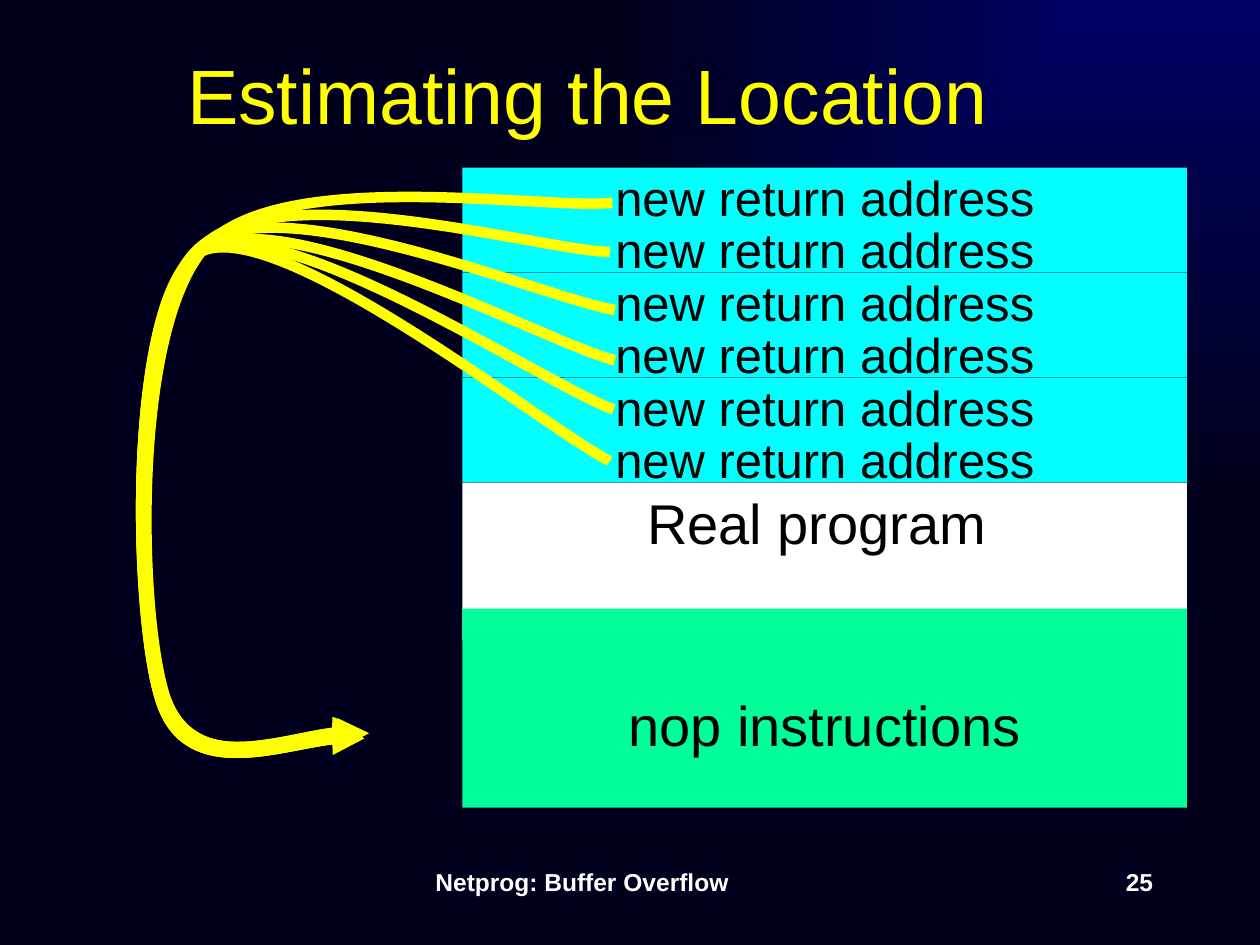
import pptx
import pptx.util
import pptx.dml.color
import pptx.enum.shapes
import pptx.enum.text
import pptx.oxml
import pptx.oxml.ns
from pptx.util import Inches

COLORS = {
    "glow": "000066", "night": "00001E", "white": "FFFFFF", "black": "000000",
    "yellow": "FFFF00", "cyan": "00FFFF", "green": "00FF99",
}
ALIGN = pptx.enum.text.PP_ALIGN
ANCHOR = pptx.enum.text.MSO_ANCHOR
LEFT, WIDTH = 3.67, 5.75
ROW_TOP, ROW_STEP = 1.33, 1.25 / 3
CURVES = [
    [(4.86, 1.61), (4.32, 1.67), (2.22, 1.31), (1.63, 1.96), (1.04, 2.62),
     (1.1, 4.89), (1.31, 5.53), (1.53, 6.17), (2.59, 5.76), (2.93, 5.82)],
    [(4.84, 2), (4.3, 1.99), (2.2, 1.37), (1.6, 1.96), (1.01, 2.55),
     (1.07, 4.88), (1.29, 5.52), (1.51, 6.17), (2.57, 5.75), (2.9, 5.81)],
    [(4.88, 2.46), (4.33, 2.37), (2.19, 1.45), (1.59, 1.96), (0.99, 2.47),
     (1.06, 4.88), (1.28, 5.52), (1.5, 6.17), (2.56, 5.75), (2.89, 5.81)],
]
LOOP = [(1.06, 4.93), (1.28, 5.57), (1.49, 6.21), (2.56, 5.8), (2.89, 5.86)]
STARTS = [
    [(4.88, 2.86), (4.33, 2.72), (2.19, 1.55), (1.59, 2), (0.99, 2.45)],
    [(4.87, 3.25), (4.32, 3.05), (2.19, 1.62), (1.59, 2), (0.99, 2.39)],
    [(4.84, 3.66), (4.3, 3.38), (2.19, 1.69), (1.59, 2), (1, 2.32)],
]
CURVES += [start + LOOP for start in STARTS]


def rgb(name):
    """Return the named colour."""
    return pptx.dml.color.RGBColor.from_string(COLORS[name])


def node(tag, **attrs):
    """Make a drawing element."""
    item = pptx.oxml.parse_xml(f"<a:{tag} {pptx.oxml.ns.nsdecls('a')}/>")
    for key, value in attrs.items():
        item.set(key, value)
    return item


def write(frame, text, size, color, align=ALIGN.CENTER, bold=False):
    """Write one formatted run in a frame."""
    frame.word_wrap = True
    para = frame.paragraphs[0]
    para.alignment = align
    run = para.add_run()
    run.text = text
    run.font.name = "Arial"
    run.font.size = pptx.util.Pt(size)
    run.font.bold = bold
    run.font.color.rgb = rgb(color)
    return para


def paint(slide):
    """Fill the background with a glow from the top right corner."""
    fill = slide.background.fill
    fill.gradient()
    for stop, name in zip(fill.gradient_stops, ("glow", "night")):
        stop.color.rgb = rgb(name)
    line = slide.background._cSld.find(".//" + pptx.oxml.ns.qn("a:lin"))
    shade = node("path", path="rect")
    shade.append(node("fillToRect", l="100000", b="100000"))
    line.getparent().replace(line, shade)


def add_title(slide, text):
    """Place and fill the title."""
    title = slide.shapes.title
    title.left, title.top = Inches(0.5), Inches(0.33)
    title.width, title.height = Inches(8.5), Inches(0.83)
    title.text_frame.vertical_anchor = ANCHOR.MIDDLE
    write(title.text_frame, text, 44, "yellow")


def add_note(slide, left, width, text, align):
    """Add a bold text at the foot of the slide."""
    box = slide.shapes.add_textbox(
        Inches(left), Inches(6.83), Inches(width), Inches(0.5))
    write(box.text_frame, text, 14, "white", align, True)


def add_block(slide, top, height, fill, text, size, space=0.9, inset=0.05):
    """Add a labelled block of memory."""
    block = slide.shapes.add_shape(
        pptx.enum.shapes.MSO_SHAPE.RECTANGLE,
        Inches(LEFT), Inches(top), Inches(WIDTH), Inches(height))
    block.shadow.inherit = False
    block.fill.solid()
    block.fill.fore_color.rgb = rgb(fill)
    block.line.fill.background()
    frame = block.text_frame
    frame.vertical_anchor = ANCHOR.TOP
    frame.margin_top = Inches(inset)
    para = write(frame, text, size, "black")
    para.line_spacing = space
    para.space_before = pptx.util.Pt(3.6)


def add_curve(slide, points):
    """Add a curved arrow through cubic control points."""
    spots = [(Inches(x), Inches(y)) for x, y in points]
    form = slide.shapes.build_freeform(*spots[0])
    form.add_line_segments(spots[1:], close=False)
    curve = form.convert_to_shape()
    curve.shadow.inherit = False
    curve.fill.background()
    curve.line.color.rgb = rgb("yellow")
    curve.line.width = pptx.util.Pt(6)
    curve.line._get_or_add_ln().append(node("tailEnd", type="triangle"))
    steps = list(curve._element.iter(pptx.oxml.ns.qn("a:lnTo")))
    for i in range(0, len(steps), 3):
        bend = node("cubicBezTo")
        steps[i].addprevious(bend)
        for step in steps[i:i + 3]:
            bend.append(step[0])
            step.getparent().remove(step)


def main():
    """Build the slide."""
    deck = pptx.Presentation()
    deck.slide_width, deck.slide_height = Inches(10), Inches(7.5)
    slide = deck.slides.add_slide(deck.slide_layouts[5])
    paint(slide)
    add_note(slide, 2.08, 5.08, "Netprog: Buffer Overflow", ALIGN.CENTER)
    add_note(slide, 7.17, 2.08, "25", ALIGN.RIGHT)
    add_title(slide, "Estimating the Location ")
    add_block(slide, 3.83, 1.25, "white", "Real program ", 32, 1.0)
    add_block(slide, 4.83, 1.58, "green", "nop instructions", 32, inset=0.71)
    for i in range(6):
        add_block(slide, ROW_TOP + i * ROW_STEP, ROW_STEP, "cyan",
                  "new return address", 28)
    for points in CURVES:
        add_curve(slide, points)
    deck.save("out.pptx")


main()
